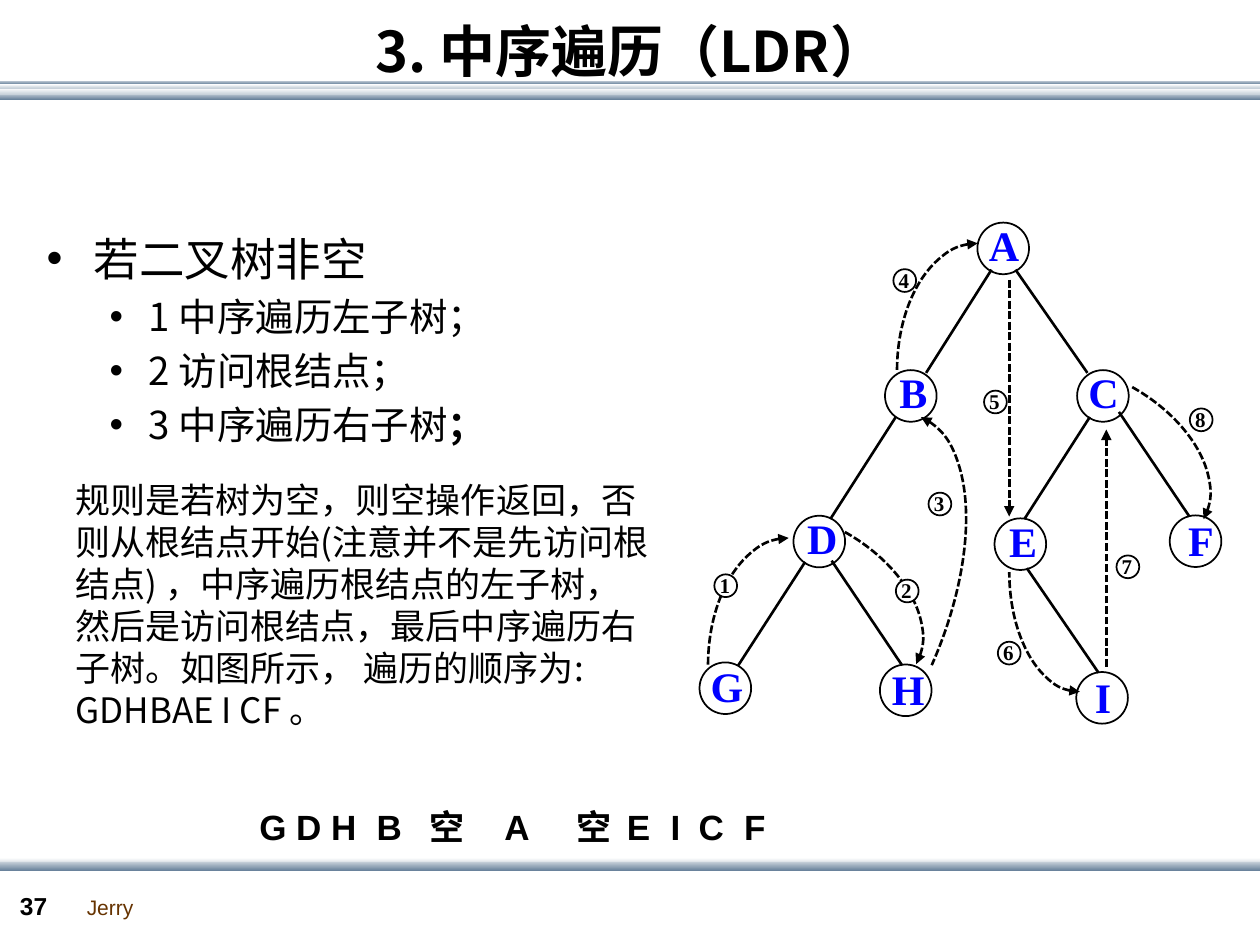
from dataclasses import dataclass

from pptx import Presentation
from pptx.dml.color import RGBColor
from pptx.enum.dml import MSO_LINE
from pptx.enum.shapes import MSO_CONNECTOR, MSO_SHAPE
from pptx.enum.text import MSO_ANCHOR, MSO_AUTO_SIZE, PP_ALIGN
from pptx.oxml.ns import qn
from pptx.oxml.xmlchemy import OxmlElement
from pptx.util import Pt


@dataclass(frozen=True)
class Theme:
    ink: str = "000000"
    node_blue: str = "0000FF"
    author_brown: str = "663300"
    white: str = "FFFFFF"
    pale: str = "C8D1DA"
    steel: str = "6A839C"
    han: str = "Noto Sans CJK SC"
    sans: str = "Arial"
    serif: str = "Times New Roman"
    title: int = 32
    lead: int = 26
    step: int = 22
    prose: int = 20
    node: int = 24
    page: int = 14
    small: int = 12
    hairline: float = 1
    stroke: float = 1.5


class SlideBuilder:
    def __init__(self, slide, theme):
        self.slide = slide
        self.theme = theme

    def place(self, element, box):
        element.left, element.top, element.width, element.height = map(Pt, box)

    def run(self, paragraph, words, size, font, color=None, bold=False):
        run = paragraph.add_run()
        run.text = words
        run.font.size = Pt(size)
        run.font.bold = bold
        run.font.color.rgb = RGBColor.from_string(color or self.theme.ink)
        run.font.name = font
        east_asian = OxmlElement("a:ea")
        east_asian.set("typeface", self.theme.han)
        run.font._element.append(east_asian)

    def text(self, box, words, size, font, color=None, bold=False, wrap=True, tabs=()):
        label = self.slide.shapes.add_textbox(*map(Pt, box))
        label.text_frame.word_wrap = wrap
        paragraph = label.text_frame.paragraphs[0]
        if tabs:
            stops = OxmlElement("a:tabLst")
            for position in tabs:
                stop = OxmlElement("a:tab")
                stop.set("pos", str(Pt(position)))
                stop.set("algn", "l")
                stops.append(stop)
            paragraph._p.get_or_add_pPr().append(stops)
        self.run(paragraph, words, size, font, color, bold)

    def title(self, box, words):
        heading = self.slide.shapes.title
        self.place(heading, box)
        heading.text_frame.vertical_anchor = MSO_ANCHOR.MIDDLE
        paragraph = heading.text_frame.paragraphs[0]
        paragraph.alignment = PP_ALIGN.CENTER
        self.run(paragraph, words, self.theme.title, self.theme.han, bold=True)

    def bullets(self, box, items):
        body = self.slide.placeholders[1]
        self.place(body, box)
        frame = body.text_frame
        frame.auto_size = MSO_AUTO_SIZE.NONE
        for index, (level, runs) in enumerate(items):
            paragraph = frame.add_paragraph() if index else frame.paragraphs[0]
            margin, hanging, size = [(27, 27, self.theme.lead), (58.5, 22.5, self.theme.step)][level]
            properties = paragraph._p.get_or_add_pPr()
            properties.set("marL", str(Pt(margin)))
            properties.set("indent", str(-Pt(hanging)))
            bullet = OxmlElement("a:buChar")
            bullet.set("char", "•")
            properties.append(bullet)
            paragraph.level = level
            paragraph.space_before = Pt(size * 0.2 if index else 0)
            for words, bold in runs:
                self.run(paragraph, words, size, self.theme.han, bold=bold)

    def band(self, top, height, upper, lower):
        bar = self.slide.shapes.add_shape(
            MSO_SHAPE.RECTANGLE, Pt(0), Pt(top), Pt(720), Pt(height))
        bar.shadow.inherit = False
        bar.line.fill.background()
        bar.fill.gradient()
        bar.fill.gradient_angle = 270
        for stop, color in zip(bar.fill.gradient_stops, (upper, lower)):
            stop.color.rgb = RGBColor.from_string(color)

    def outline(self, element, width, dashed=False, arrow=None):
        element.line.color.rgb = RGBColor.from_string(self.theme.ink)
        element.line.width = Pt(width)
        if dashed:
            element.line.dash_style = MSO_LINE.SQUARE_DOT
        if arrow:
            end = OxmlElement(arrow)
            end.set("type", "triangle")
            element._element.spPr.find(qn("a:ln")).append(end)

    def circle(self, left, top, diameter, fill=None):
        ring = self.slide.shapes.add_shape(
            MSO_SHAPE.OVAL, Pt(left), Pt(top), Pt(diameter), Pt(diameter))
        ring.shadow.inherit = False
        if fill:
            ring.fill.solid()
            ring.fill.fore_color.rgb = RGBColor.from_string(fill)
        else:
            ring.fill.background()
        self.outline(ring, self.theme.hairline)

    def node(self, letter, left, top, label_dx, label_dy):
        self.circle(left, top, 29.5)
        self.text((left + label_dx, top + label_dy, 34, 36.7), letter,
                  self.theme.node, self.theme.serif, self.theme.node_blue, True)

    def step(self, number, left, top):
        self.circle(left, top, 13, self.theme.white)
        self.text((left - 4.1, top - 4.6, 24, 21.6), str(number),
                  self.theme.small, self.theme.serif, bold=True)

    def line(self, start, end, arrow=False):
        link = self.slide.shapes.add_connector(
            MSO_CONNECTOR.STRAIGHT, *map(Pt, (*start, *end)))
        link._element.spPr.append(OxmlElement("a:effectLst"))
        self.outline(link, self.theme.stroke, arrow, "a:tailEnd" if arrow else None)

    def arc(self, box, rotation=0, mirrored=False):
        curve = self.slide.shapes.add_shape(MSO_SHAPE.ARC, *map(Pt, box))
        curve.shadow.inherit = False
        curve.fill.background()
        curve.rotation = rotation
        if mirrored:
            curve._element.spPr.find(qn("a:xfrm")).set("flipH", "1")
        self.outline(curve, self.theme.stroke, True, "a:headEnd")


BANDS = [(53.3, 3.6), (46.1, 2.2), (50.4, 3.6), (48.2, 2.2)]

NODES = [
    ("A", 558.5, 127.2, -0.5, -5.5), ("B", 505.7, 211.5, 1.2, -5.5),
    ("C", 615.5, 211.5, -0.6, -5.5), ("D", 453.4, 294.7, 0.7, -5.2),
    ("E", 568.3, 296.2, 1.3, -5.3), ("F", 668.4, 294.5, 3.4, -4.3),
    ("G", 399.7, 378.5, -0.7, -4.8), ("H", 502.8, 379.7, -0.2, -4),
    ("I", 615, 384, 3.6, -3.8),
]

BRANCHES = [
    ((566.6, 154.1), (529.2, 213.1)), ((511.9, 238.3), (474.5, 296.6)),
    ((460.1, 321.1), (421.9, 380.2)), ((621.4, 213.1), (580.3, 154.1)),
    ((679.7, 295.2), (639.4, 235.4)), ((622.8, 238.3), (585.4, 296.6)),
    ((515.5, 380.2), (475.2, 320.4)), ((627.8, 384.5), (586.8, 324.7)),
]

JUMPS = [((576.7, 159.8), (576.7, 295.2)), ((632.2, 380.9), (632.2, 245.5))]

ARCS = [
    ((404.6, 307.4, 92.2, 145.4), 0, True),
    ((414, 271.4, 92.2, 145.4), 119.1, True),
    ((411.8, 227.5, 126, 254.2), 23.9, False),
    ((512.6, 139, 92.2, 145.4), 0, True),
    ((576.7, 258.5, 80.6, 136.8), 180, False),
    ((578.2, 188.6, 92.2, 145.4), 119.1, True),
]

STEPS = [(408.2, 328.2), (511.9, 331.2), (530.6, 281.5), (510.5, 153.8),
         (562.3, 223.2), (570.2, 366.7), (638, 317.4), (679.9, 233.4)]

STEP_LIST = [
    (0, [("若二叉树非空", False)]),
    (1, [("1 中序遍历左子树；", False)]),
    (1, [("2 访问根结点；", False)]),
    (1, [("3 中序遍历右子树", False), ("；", True)]),
]

RULE = ("规则是若树为空，则空操作返回，否则从根结点开始(注意并不是先访问根结点) ，"
        "中序遍历根结点的左子树，然后是访问根结点，最后中序遍历右子树。"
        "如图所示， 遍历的顺序为: GDHBAE I CF 。")

VISIT_ORDER = "GDHB空A空EICF"
VISIT_TABS = (21, 41, 67, 97, 140, 181, 210, 235, 251, 277)


def main():
    deck = Presentation()
    deck.slide_width, deck.slide_height = Pt(720), Pt(540)
    theme = Theme()
    page = SlideBuilder(deck.slides.add_slide(deck.slide_layouts[1]), theme)

    for index, (top, height) in enumerate(BANDS):
        colors = (theme.pale, theme.steel) if index < 2 else (theme.white, theme.pale)
        page.band(top, height, *colors)
    page.band(490.3, 3.6, theme.white, theme.pale)
    page.band(492.5, 5, theme.pale, theme.steel)

    page.title((0.7, 0.7, 719.3, 55.4), "3. 中序遍历（LDR）")
    page.bullets((19.4, 128.2, 278, 134.6), STEP_LIST)
    page.text((36, 270, 345.6, 152.6), RULE, theme.prose, theme.han)

    for node in NODES:
        page.node(*node)
    for start, end in BRANCHES:
        page.line(start, end)
    for start, end in JUMPS:
        page.line(start, end, arrow=True)
    for curve in ARCS:
        page.arc(*curve)
    for number, (left, top) in enumerate(STEPS, 1):
        page.step(number, left, top)

    page.text((141.1, 456.5, 361.4, 31.7), "\t".join(VISIT_ORDER),
              theme.prose, theme.sans, bold=True, tabs=VISIT_TABS)
    page.text((42.5, 507.6, 41.8, 21.6), "Jerry", theme.small, theme.sans,
              theme.author_brown, wrap=False)
    page.text((4.3, 505.4, 39.6, 23.8), "37", theme.page, theme.sans, bold=True)
    deck.save("out.pptx")


if __name__ == "__main__":
    main()
